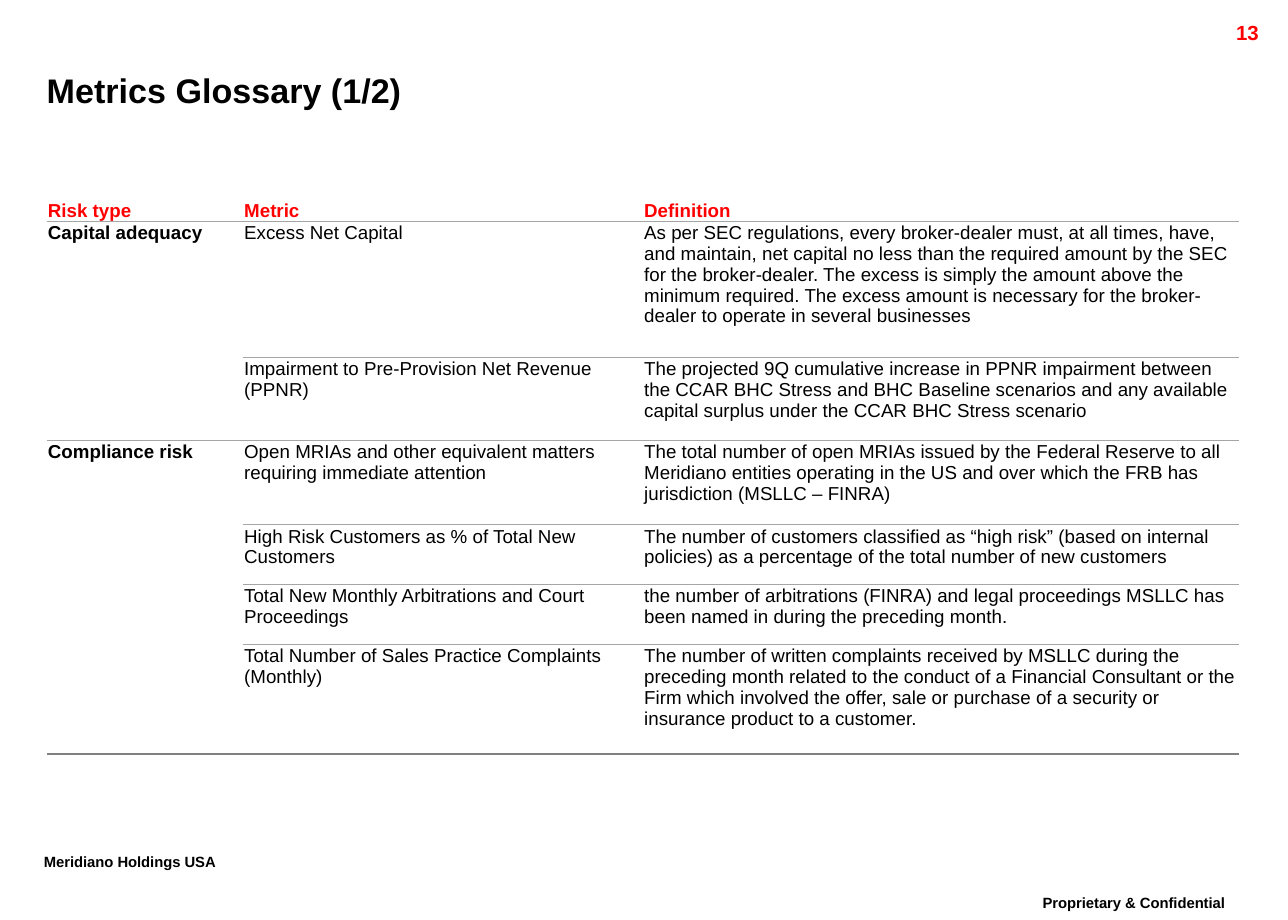
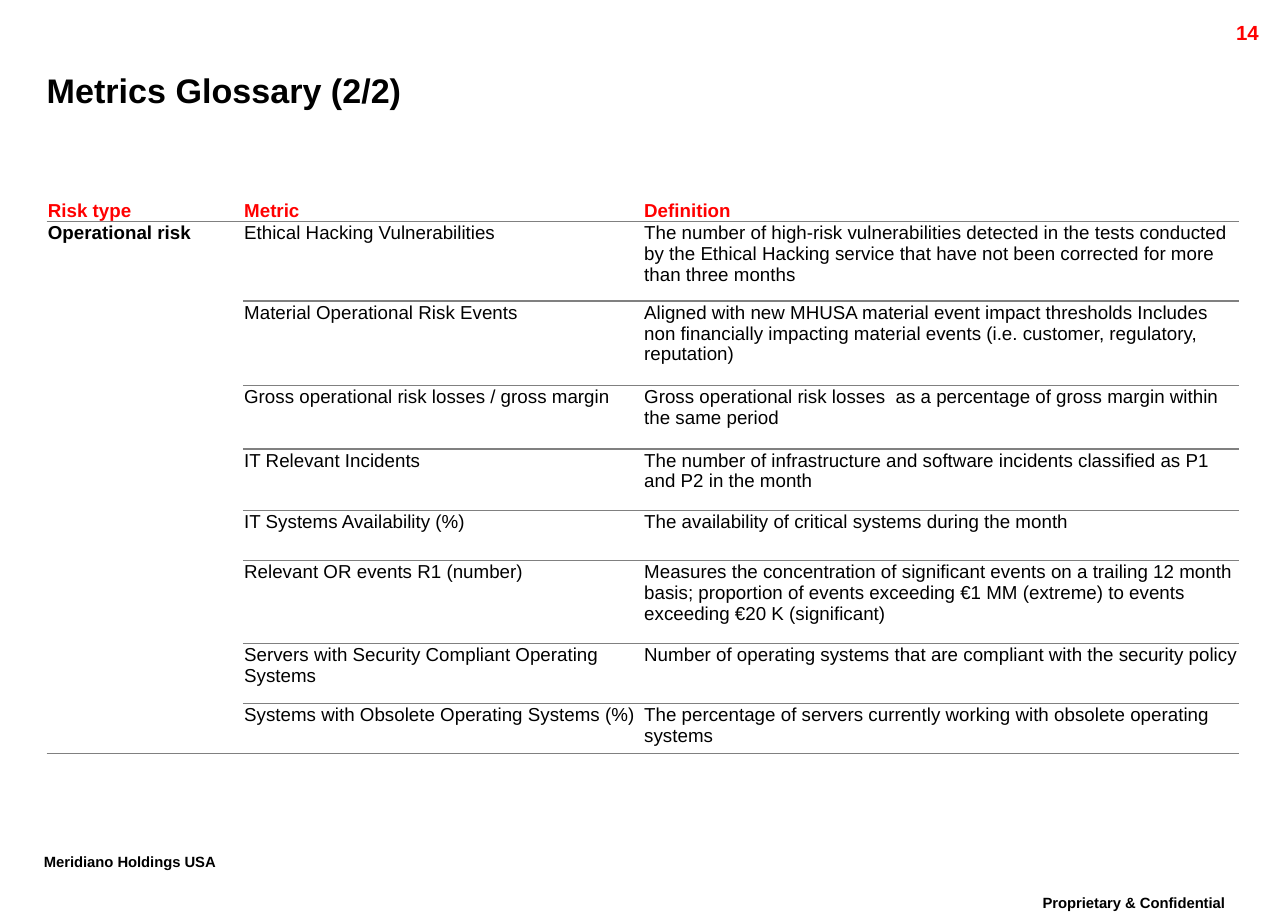
from lxml.etree import SubElement
from pptx import Presentation
from pptx.dml.color import RGBColor
from pptx.enum.text import MSO_ANCHOR, PP_ALIGN
from pptx.oxml.ns import qn
from pptx.util import Pt

FONT = "Arial"
BLACK, RED = "000000", "FF0000"
LIGHT_RULE, DARK_RULE = ("A5A5A5", 0.75), ("808080", 1)
NO_STYLE = "{2D5ABB26-0587-4C30-8999-92F81FD0307C}"

MARGIN = 27.4
TABLE_TOP = 116
HEADER_HEIGHT = 13.4
COLUMNS = {"Risk type": 115.2, "Metric": 234.8, "Definition": 350}

CAPITAL_COMPLIANCE = {
    "Capital adequacy": [
        (80, "Excess Net Capital",
         "As per SEC regulations, every broker-dealer must, at all times, have, and maintain, "
         "net capital no less than the required amount by the SEC for the broker-dealer. The "
         "excess is simply the amount above the minimum required. The excess amount is "
         "necessary for the broker-dealer to operate in several businesses"),
        (48.5, "Impairment to Pre-Provision Net Revenue (PPNR)",
         "The projected 9Q cumulative increase in PPNR impairment between the CCAR BHC Stress "
         "and BHC Baseline scenarios and any available capital surplus under the CCAR BHC "
         "Stress scenario"),
    ],
    "Compliance risk": [
        (49.7, "Open MRIAs and other equivalent matters requiring immediate attention",
         "The total number of open MRIAs issued by the Federal Reserve to all Meridiano "
         "entities operating in the US and over which the FRB has jurisdiction "
         "(MSLLC – FINRA)"),
        (35, "High Risk Customers as % of Total New Customers",
         "The number of customers classified as “high risk” (based on internal policies) as a "
         "percentage of the total number of new customers"),
        (35.4, "Total New Monthly Arbitrations and Court Proceedings",
         "the number of arbitrations (FINRA) and legal proceedings MSLLC has been named in "
         "during the preceding month."),
        (64.2, "Total Number of Sales Practice Complaints (Monthly)",
         "The number of written complaints received by MSLLC during the preceding month "
         "related to the conduct of a Financial Consultant or the Firm which involved the "
         "offer, sale or purchase of a security or insurance product to a customer."),
    ],
}

OPERATIONAL = {
    "Operational risk": [
        (46.8, "Ethical Hacking Vulnerabilities",
         "The number of high-risk vulnerabilities detected in the tests conducted by the "
         "Ethical Hacking service that have not been corrected for more than three months"),
        (49.4, "Material Operational Risk Events",
         "Aligned with new MHUSA material event impact thresholds Includes non financially "
         "impacting material events (i.e. customer, regulatory, reputation)"),
        (37.4, "Gross operational risk losses / gross margin",
         "Gross operational risk losses  as a percentage of gross margin within the same "
         "period"),
        (36, "IT Relevant Incidents",
         "The number of infrastructure and software incidents classified as P1 and P2 in the "
         "month"),
        (29.4, "IT Systems Availability (%)",
         "The availability of critical systems during the month"),
        (48.8, "Relevant OR events R1 (number)",
         "Measures the concentration of significant events on a trailing 12 month basis; "
         "proportion of events exceeding €1 MM (extreme) to events exceeding €20 K "
         "(significant)"),
        (35.2, "Servers with Security Compliant Operating Systems",
         "Number of operating systems that are compliant with the security policy"),
        (29.4, "Systems with Obsolete Operating Systems (%)",
         "The percentage of servers currently working with obsolete operating systems"),
    ],
}


def color(value):
    """Turn a hex string into a colour."""
    return RGBColor.from_string(value)


def add_text(paragraph, text, size, ink=BLACK, bold=True):
    """Add one formatted run to a paragraph and return it."""
    run = paragraph.add_run()
    run.text = text
    run.font.name = FONT
    run.font.size = Pt(size)
    run.font.bold = bold
    run.font.color.rgb = color(ink)
    return run


def add_label(slide, bounds, text, size, ink=BLACK, align=PP_ALIGN.LEFT):
    """Add a one-line text box and return its frame and run."""
    frame = slide.shapes.add_textbox(*map(Pt, bounds)).text_frame
    frame.word_wrap = True
    line = frame.paragraphs[0]
    line.alignment = align
    return frame, add_text(line, text, size, ink)


def add_footer(slide, bounds, text, align):
    """Add a raised footer line."""
    frame, run = add_label(slide, bounds, text, 15, align=align)
    frame.paragraphs[0].line_spacing = 0.86
    run._r.get_or_add_rPr().set("baseline", "30000")


def add_page_frame(slide, title, number):
    """Add the title, page number and footers shared by all slides."""
    add_footer(slide, (587, 522, 157, 25), "Proprietary & Confidential", PP_ALIGN.CENTER)
    add_footer(slide, (18.7, 497.5, 138, 25), "Meridiano Holdings USA", PP_ALIGN.LEFT)
    add_label(slide, (674, 8, 72, 17), str(number), 12, RED, PP_ALIGN.RIGHT)
    heading, _ = add_label(slide, (MARGIN, 35.5, 682.5, 34.5), title, 20)
    heading.margin_left = heading.margin_right = 0
    heading.margin_top = heading.margin_bottom = 0
    heading.vertical_anchor = MSO_ANCHOR.MIDDLE


def add_rule(cell, edge, rule):
    """Draw one horizontal cell border."""
    ink, width = rule
    border = SubElement(cell._tc.get_or_add_tcPr(), qn(f"a:{edge}"), w=str(Pt(width)))
    SubElement(SubElement(border, qn("a:solidFill")), qn("a:srgbClr"), val=ink)


def format_cell(cell, above=None, below=None):
    """Set the rules, margins and empty fill of a cell."""
    for edge, rule in (("lnT", above), ("lnB", below)):
        if rule:
            add_rule(cell, edge, rule)
    cell.fill.background()
    cell.margin_left = cell.margin_right = cell.margin_top = Pt(0.72)
    cell.margin_bottom = 0


def fill_cell(cell, text, ink=BLACK, bold=False):
    """Write the text of a table cell."""
    add_text(cell.text_frame.paragraphs[0], text, 11, ink, bold)


def add_glossary(slide, groups, rule):
    """Add the table of risk types, metrics and definitions."""
    entries = [entry for group in groups.values() for entry in group]
    heights = [HEADER_HEIGHT] + [entry[0] for entry in entries]
    table = slide.shapes.add_table(
        len(heights), len(COLUMNS), Pt(MARGIN), Pt(TABLE_TOP),
        Pt(sum(COLUMNS.values())), Pt(sum(heights))).table
    table.first_row = table.horz_banding = False
    table._tbl.tblPr.find(qn("a:tableStyleId")).text = NO_STYLE
    for row, height in zip(table.rows, heights):
        row.height = Pt(height)
    for index, (name, width) in enumerate(COLUMNS.items()):
        table.columns[index].width = Pt(width)
        header = table.cell(0, index)
        format_cell(header, below=rule)
        header.vertical_anchor = MSO_ANCHOR.BOTTOM
        fill_cell(header, name, RED, True)

    rules = [rule] * len(entries) + [DARK_RULE]
    for row, (_, *texts) in enumerate(entries, 1):
        for column, text in enumerate(texts, 1):
            format_cell(table.cell(row, column), rules[row - 1], rules[row])
            fill_cell(table.cell(row, column), text)

    first = 1
    for risk, group in groups.items():
        last = first + len(group) - 1
        origin = table.cell(first, 0)
        origin.merge(table.cell(last, 0))
        format_cell(origin, rules[first - 1], rules[last])
        fill_cell(origin, risk, bold=True)
        for row in range(first + 1, last + 1):
            format_cell(table.cell(row, 0), below=rules[last] if row == last else None)
        first = last + 1


def main():
    """Build and save the glossary slides."""
    deck = Presentation()
    deck.slide_width, deck.slide_height = Pt(756), Pt(540)
    pages = [(CAPITAL_COMPLIANCE, LIGHT_RULE), (OPERATIONAL, DARK_RULE)]
    for part, (groups, rule) in enumerate(pages, 1):
        slide = deck.slides.add_slide(deck.slide_layouts[6])
        add_page_frame(slide, f"Metrics Glossary ({part}/{len(pages)})", 12 + part)
        add_glossary(slide, groups, rule)
    deck.save("out.pptx")


if __name__ == "__main__":
    main()
